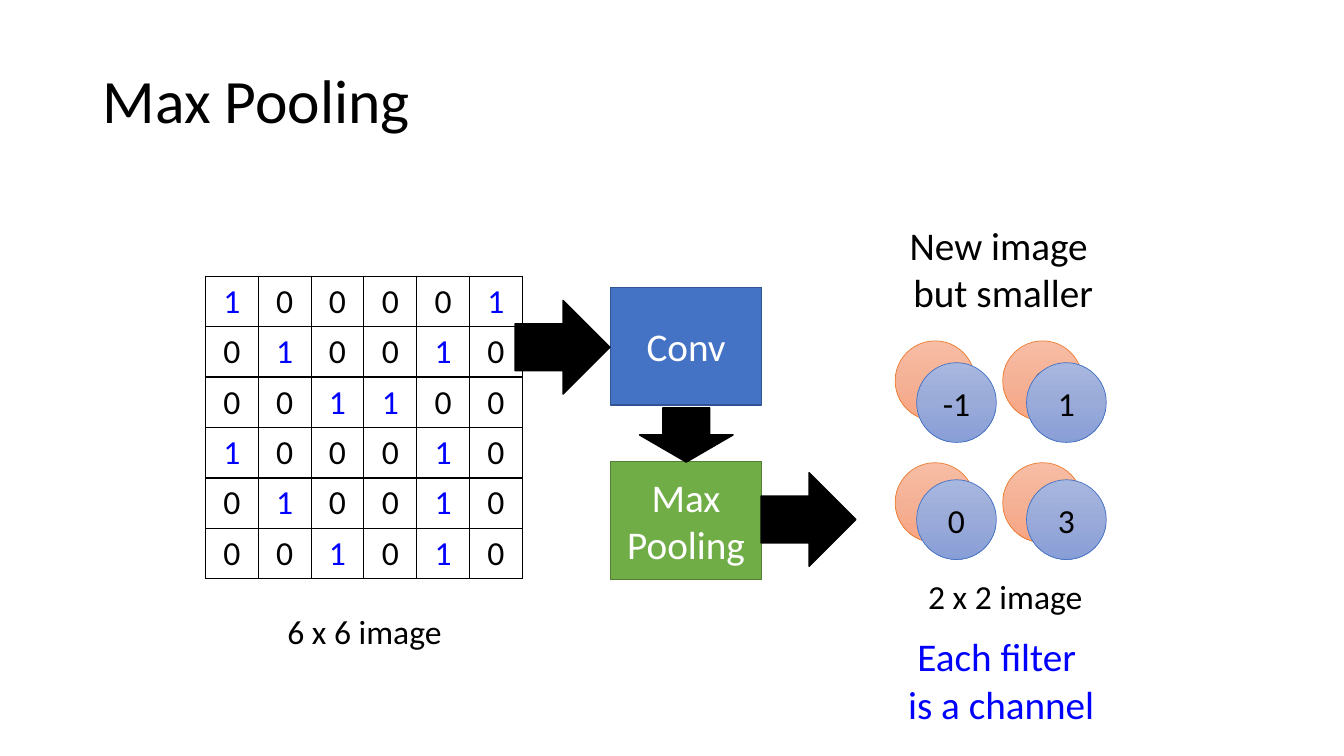
from lxml import etree
from pptx import Presentation
from pptx.dml.color import RGBColor
from pptx.enum.shapes import MSO_SHAPE as Preset
from pptx.enum.text import MSO_ANCHOR as Anchor, PP_ALIGN as Align
from pptx.oxml.ns import qn
from pptx.util import Cm, Pt

FONT = "Calibri"
BLACK, WHITE, BLUE = "000000", "FFFFFF", "0000FF"
PIXELS = ["100001", "010010", "001100", "100010", "010010", "001010"]
ORANGE_CHANNEL = (["F7BDA5", "F5B196", "F8A582"], "ED7D31", [["3", "0"], ["3", "1"]])
BLUE_CHANNEL = (["A8B7DF", "9AABD9", "889ED7"], "4472C4", [["-1", "1"], ["0", "3"]])


def color(value):
    """Turn a hex string into a colour."""
    return RGBColor.from_string(value)


def write(frame, lines, size, tint, align=Align.CENTER):
    """Fill a text frame with one paragraph per line."""
    for index, line in enumerate(lines):
        paragraph = frame.add_paragraph() if index else frame.paragraphs[0]
        paragraph.text = line
        paragraph.alignment = align
        paragraph.font.name = FONT
        paragraph.font.size = Pt(size)
        paragraph.font.color.rgb = color(tint)


def add_text(slide, box, lines, size, tint=BLACK):
    """Add a centred, wrapping text box."""
    frame = slide.shapes.add_textbox(*map(Cm, box)).text_frame
    frame.word_wrap = True
    write(frame, lines, size, tint)


def add_shape(slide, preset, box, fill, line, line_width=1.0):
    """Add a flat preset shape; a fill of None is left for later."""
    shape = slide.shapes.add_shape(preset, *map(Cm, box))
    shape.shadow.inherit = False
    if fill:
        shape.fill.solid()
        shape.fill.fore_color.rgb = color(fill)
    shape.line.color.rgb = color(line)
    shape.line.width = Pt(line_width)
    shape.text_frame.vertical_anchor = Anchor.MIDDLE
    return shape


def shade(shape, tints):
    """Give a shape an evenly stepped gradient from top to bottom."""
    shape.fill.gradient()
    gradient = shape.fill._xPr.find(qn("a:gradFill"))
    for child in list(gradient):
        gradient.remove(child)
    stops = etree.SubElement(gradient, qn("a:gsLst"))
    for index, tint in enumerate(tints):
        position = str(index * 100000 // (len(tints) - 1))
        stop = etree.SubElement(stops, qn("a:gs"), pos=position)
        etree.SubElement(stop, qn("a:srgbClr"), val=tint)
    etree.SubElement(gradient, qn("a:lin"), ang="5400000", scaled="0")


def add_borders(cell):
    """Draw a thin black border on all sides of a cell."""
    properties = cell._tc.get_or_add_tcPr()
    for index, side in enumerate(["lnL", "lnR", "lnT", "lnB"]):
        line = etree.Element(qn(f"a:{side}"), w=str(Pt(1)))
        fill = etree.SubElement(line, qn("a:solidFill"))
        etree.SubElement(fill, qn("a:srgbClr"), val=BLACK)
        properties.insert(index, line)


def add_title(slide, left, top, width, height):
    """Place the slide title."""
    frame = slide.shapes.add_textbox(*map(Cm, (left, top, width, height))).text_frame
    frame.word_wrap = True
    frame.vertical_anchor = Anchor.MIDDLE
    write(frame, ["Max Pooling"], 44, BLACK, Align.LEFT)
    frame.paragraphs[0].line_spacing = 0.9


def add_input_image(slide, left, top, width, height):
    """Place the grid of input pixels and its caption."""
    count = len(PIXELS)
    box = map(Cm, (left, top, width, height))
    table = slide.shapes.add_table(count, count, *box).table
    table.first_row = table.horz_banding = False
    for row, pixels in enumerate(PIXELS):
        for column, pixel in enumerate(pixels):
            cell = table.cell(row, column)
            cell.fill.background()
            add_borders(cell)
            write(cell.text_frame, [pixel], 24, BLUE if pixel == "1" else BLACK)
    add_text(slide, (left + 0.74, top + 8.31, 6.53, 1.27), ["6 x 6 image"], 24)


def add_channel(slide, left, top, step_x, step_y, channel):
    """Place one channel of the output as a grid of circles."""
    tints, line, values = channel
    for row, row_values in enumerate(values):
        for column, value in enumerate(row_values):
            box = (left + column * step_x, top + row * step_y, 2.01, 2.01)
            circle = add_shape(slide, Preset.OVAL, box, None, line, 0.5)
            shade(circle, tints)
            write(circle.text_frame, [value], 24, BLACK)


def add_output_image(slide, left, top, width):
    """Place the pooled image with its heading and captions."""
    add_channel(slide, left + 0.49, top + 3.15, 2.71, 3.07, ORANGE_CHANNEL)
    add_channel(slide, left + 1.03, top + 3.7, 2.77, 2.95, BLUE_CHANNEL)
    add_text(slide, (left, top + 8.96, width + 0.21, 1.27), ["2 x 2 image"], 24)
    add_text(slide, (left, top + 10.38, width, 2.64), ["Each filter ", "is a channel"], 28, BLUE)
    add_text(slide, (left + 0.05, top, width, 2.64), ["New image ", "but smaller"], 28)


def add_pipeline(slide, left, top, width, height):
    """Place the two processing stages and the arrows around them."""
    stages = [
        (["Conv"], 0, "4472C4", "325491"),
        (["Max", "Pooling"], 4.39, "70AD47", "538035"),
    ]
    arrows = [
        (-2.4, 0.33, 2.39, 0),
        (width - 0.02, 4.67, 2.39, 0),
        (1.23, 2.54, 1.37, 90),
    ]
    for lines, offset, fill, line in stages:
        box = (left, top + offset, width, height)
        stage = add_shape(slide, Preset.RECTANGLE, box, fill, line)
        write(stage.text_frame, lines, 28, WHITE)
    for x, y, length, angle in arrows:
        box = (left + x, top + y, length, 2.36)
        arrow = add_shape(slide, Preset.RIGHT_ARROW, box, BLACK, BLACK)
        arrow.rotation = angle


def main():
    """Build and save the slide."""
    presentation = Presentation()
    presentation.slide_width, presentation.slide_height = Cm(33.87), Cm(19.05)
    slide = presentation.slides.add_slide(presentation.slide_layouts[6])
    add_title(slide, 2.34, 1.02, 8.99, 3.18)
    add_input_image(slide, 5.18, 6.96, 7.98, 7.62)
    add_output_image(slide, 22.07, 5.44, 6.32)
    add_pipeline(slide, 15.38, 7.24, 3.82, 2.97)
    presentation.save("out.pptx")


if __name__ == "__main__":
    main()
